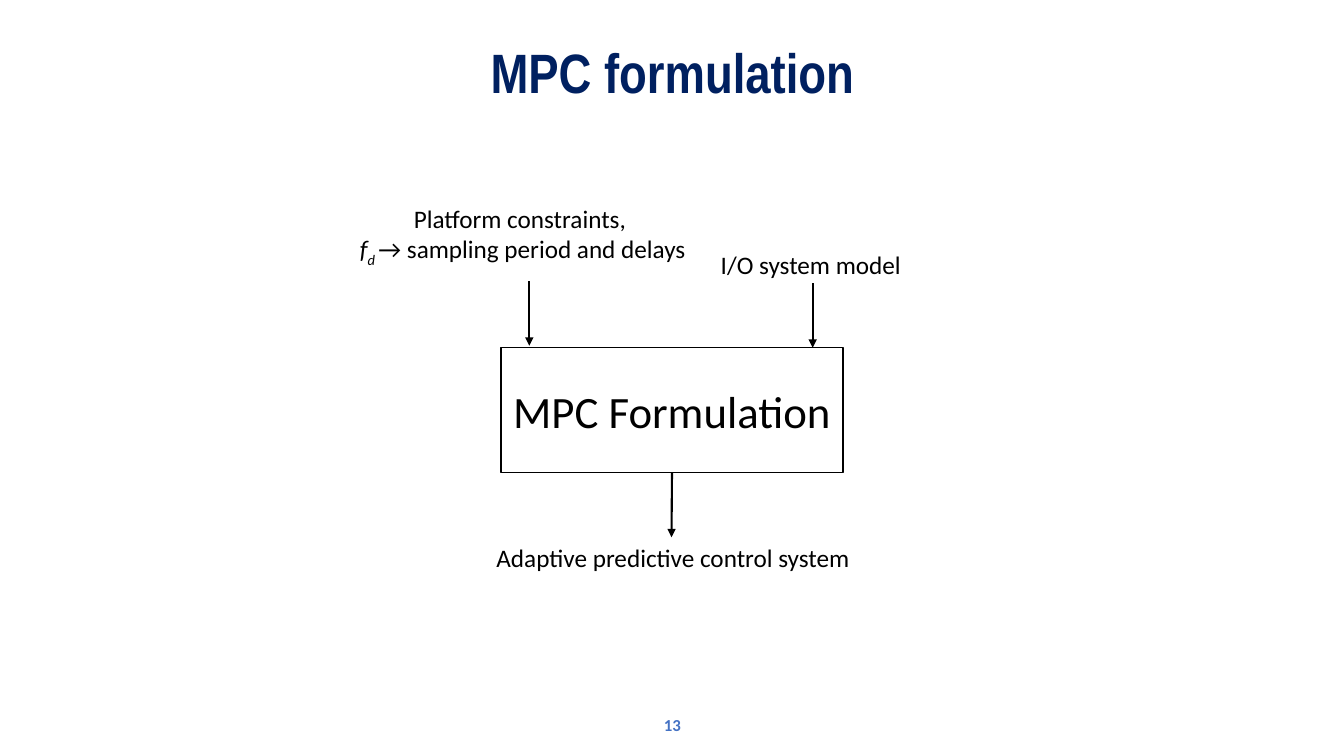
from lxml import etree
from pptx import Presentation
from pptx.dml.color import RGBColor
from pptx.enum.shapes import MSO_CONNECTOR, MSO_SHAPE
from pptx.enum.text import MSO_ANCHOR, PP_ALIGN
from pptx.oxml.ns import qn
from pptx.util import Inches, Pt

CENTER, LEFT = PP_ALIGN.CENTER, PP_ALIGN.LEFT
MIDDLE, TOP = MSO_ANCHOR.MIDDLE, MSO_ANCHOR.TOP
RECT, STRAIGHT = MSO_SHAPE.RECTANGLE, MSO_CONNECTOR.STRAIGHT

COLORS = {"navy": "002060", "blue": "4472C4", "black": "000000", "white": "FFFFFF"}
BOTTOM_SIDE = 2
ARROW = 0.64


class Board:
    def __init__(self, slide, font="Calibri", size=18):
        self.slide, self.font, self.size = slide, font, size

    def color(self, name):
        return RGBColor.from_string(COLORS[name])

    def run(self, par, text, size=None, font=None, color="black",
            bold=False, italic=False, base=0):
        run = par.add_run()
        run.text = text
        style = run.font
        style.name = font or self.font
        style.size = Pt(size or self.size)
        style.color.rgb = self.color(color)
        style.bold, style.italic = bold, italic
        if base:
            run._r.get_or_add_rPr().set("baseline", str(base * 1000))

    def text(self, area, text="", align=CENTER, anchor=TOP, wrap=True, **style):
        label = self.slide.shapes.add_textbox(*map(Inches, area))
        frame = label.text_frame
        frame.word_wrap, frame.vertical_anchor = wrap, anchor
        par = frame.paragraphs[0]
        par.alignment = align
        if text:
            self.run(par, text, **style)
        return par

    def box(self, area, text, size):
        box = self.slide.shapes.add_shape(RECT, *map(Inches, area))
        box.shadow.inherit = False
        box.fill.solid()
        box.fill.fore_color.rgb = self.color("white")
        box.line.color.rgb = self.color("black")
        box.line.width = Pt(1)
        box.text_frame.vertical_anchor = MIDDLE
        par = box.text_frame.paragraphs[0]
        par.alignment = CENTER
        self.run(par, text, size=size)
        return box

    def arrow(self, x, y):
        line = self.slide.shapes.add_connector(
            STRAIGHT, Inches(x), Inches(y), Inches(x), Inches(y + ARROW))
        line.line.color.rgb = self.color("black")
        line.line.width = Pt(1.5)
        etree.SubElement(line.line._get_or_add_ln(), qn("a:tailEnd"), type="triangle")
        etree.SubElement(line._element.spPr, qn("a:effectLst"))
        return line


def main():
    deck = Presentation()
    deck.slide_width, deck.slide_height = Inches(13.33), Inches(7.5)
    board = Board(deck.slides.add_slide(deck.slide_layouts[6]))

    # Title
    title = board.text((0.92, 0.4, 11.5, 0.69), "MPC formulation", anchor=MIDDLE,
                       size=39.6, font="Arial Narrow", color="navy", bold=True)
    title.line_spacing = 0.9

    # Central block with two inputs and one output
    block = board.box((4.97, 3.45, 3.39, 1.24), "MPC Formulation", 32)
    board.arrow(5.25, 2.79)
    board.arrow(8.06, 2.81)
    output = board.arrow(6.66, 4.69)
    output.begin_connect(block, BOTTOM_SIDE)

    # Labels
    board.text((7.05, 2.42, 2.01, 0.4), "I/O system model", align=LEFT, wrap=False)
    limits = board.text((2.01, 1.97, 6.35, 0.71))
    board.run(limits, "Platform constraints, ")
    limits.add_line_break()
    board.run(limits, "f", italic=True)
    board.run(limits, "d ", italic=True, base=-25)
    board.run(limits, "→ sampling period and delays")
    board.text((4.8, 5.33, 3.75, 0.4), "Adaptive predictive control system")

    # Page number
    board.text((5.17, 6.99, 3, 0.4), "13", anchor=MIDDLE,
               size=12, color="blue", bold=True)

    deck.save("out.pptx")


if __name__ == "__main__":
    main()
